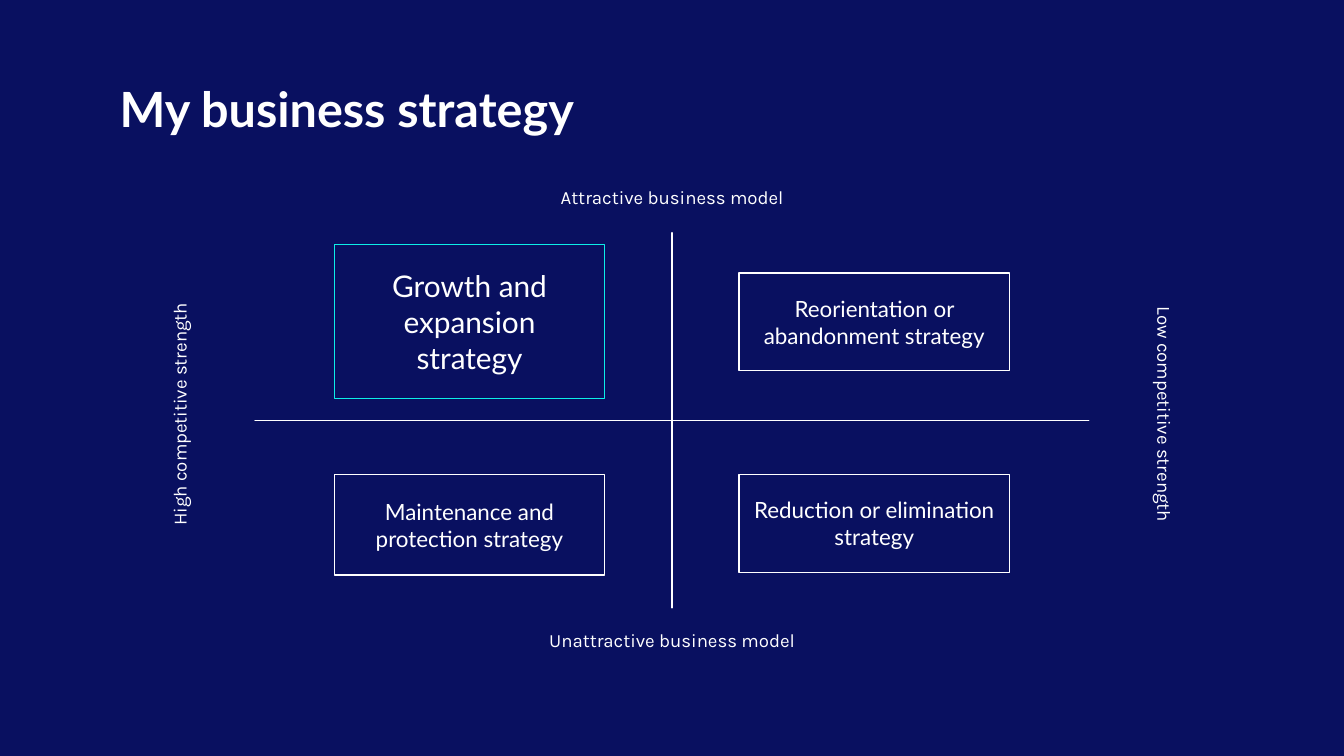
from pptx import Presentation
from pptx.dml.color import RGBColor
from pptx.enum.shapes import MSO_SHAPE
from pptx.enum.text import MSO_ANCHOR, PP_ALIGN
from pptx.util import Cm, Pt

NAVY = RGBColor(0x09, 0x10, 0x60)
WHITE = RGBColor(0xFF, 0xFF, 0xFF)
CYAN = RGBColor(0x0D, 0xEE, 0xE7)

# Content, lengths in cm
WIDE, HIGH = 25.4, 14.29
MID = WIDE / 2
TITLE = "My business strategy"

# Axis labels: text, centre x, centre y, rotation
LABELS = [
    ("Attractive business model", MID, 3.81, 0),
    ("Unattractive business model", MID, 12.19, 0),
    ("High competitive strength", 3.47, 7.83, 270),
    ("Low competitive strength", 21.93, 7.83, 90),
]
LABEL_W, LABEL_H = 6.02, 1.02

# Strategies: text, column, top, height, size, outline
LEFT, RIGHT = 6.32, 13.97
BOX_W = 5.11
BOXES = [
    ("Growth and expansion strategy", LEFT, 4.62, 2.92, 16, CYAN),
    ("Maintenance and protection strategy", LEFT, 8.97, 1.9, 12, WHITE),
    ("Reduction or elimination strategy", RIGHT, 8.97, 1.85, 12, WHITE),
    ("Reorientation or abandonment strategy", RIGHT, 5.16, 1.85, 12, WHITE),
]


def write(shape, text, font, size, bold=False,
          align=PP_ALIGN.CENTER, anchor=MSO_ANCHOR.TOP):
    frame = shape.text_frame
    frame.text = text
    frame.word_wrap = True
    frame.vertical_anchor = anchor
    frame.margin_left = frame.margin_right = Cm(0.25)
    frame.margin_top = frame.margin_bottom = Cm(0.25)
    para = frame.paragraphs[0]
    para.alignment = align
    face = para.runs[0].font
    face.name, face.size, face.bold = font, Pt(size), bold
    face.color.rgb = WHITE


def outline(slide, kind, place, color):
    shape = slide.shapes.add_shape(kind, *map(Cm, place))
    shape.shadow.inherit = False
    shape.fill.background()
    shape.line.color.rgb = color
    shape.line.width = Pt(0.75)
    return shape


deck = Presentation()
deck.slide_width, deck.slide_height = Cm(WIDE), Cm(HIGH)
slide = deck.slides.add_slide(deck.slide_layouts[6])
slide.background.fill.solid()
slide.background.fill.fore_color.rgb = NAVY

# Title
head = slide.shapes.add_textbox(Cm(2.01), Cm(1.24), Cm(21.41), Cm(1.6))
write(head, TITLE, "Lato", 26, bold=True, align=PP_ALIGN.LEFT)

# Axes: a plus sign with arms of no thickness
cross = outline(slide, MSO_SHAPE.MATH_PLUS, (1.98, 3.12, 21.44, 9.65), WHITE)
cross.adjustments[0] = 0

# Axis labels
for text, x, y, turn in LABELS:
    label = slide.shapes.add_textbox(
        Cm(x - LABEL_W / 2), Cm(y - LABEL_H / 2), Cm(LABEL_W), Cm(LABEL_H))
    label.rotation = turn
    write(label, text, "Karla", 10)

# Strategy boxes
for text, x, y, high, size, color in BOXES:
    box = outline(slide, MSO_SHAPE.RECTANGLE, (x, y, BOX_W, high), color)
    write(box, text, "Lato", size, anchor=MSO_ANCHOR.MIDDLE)

deck.save("out.pptx")
